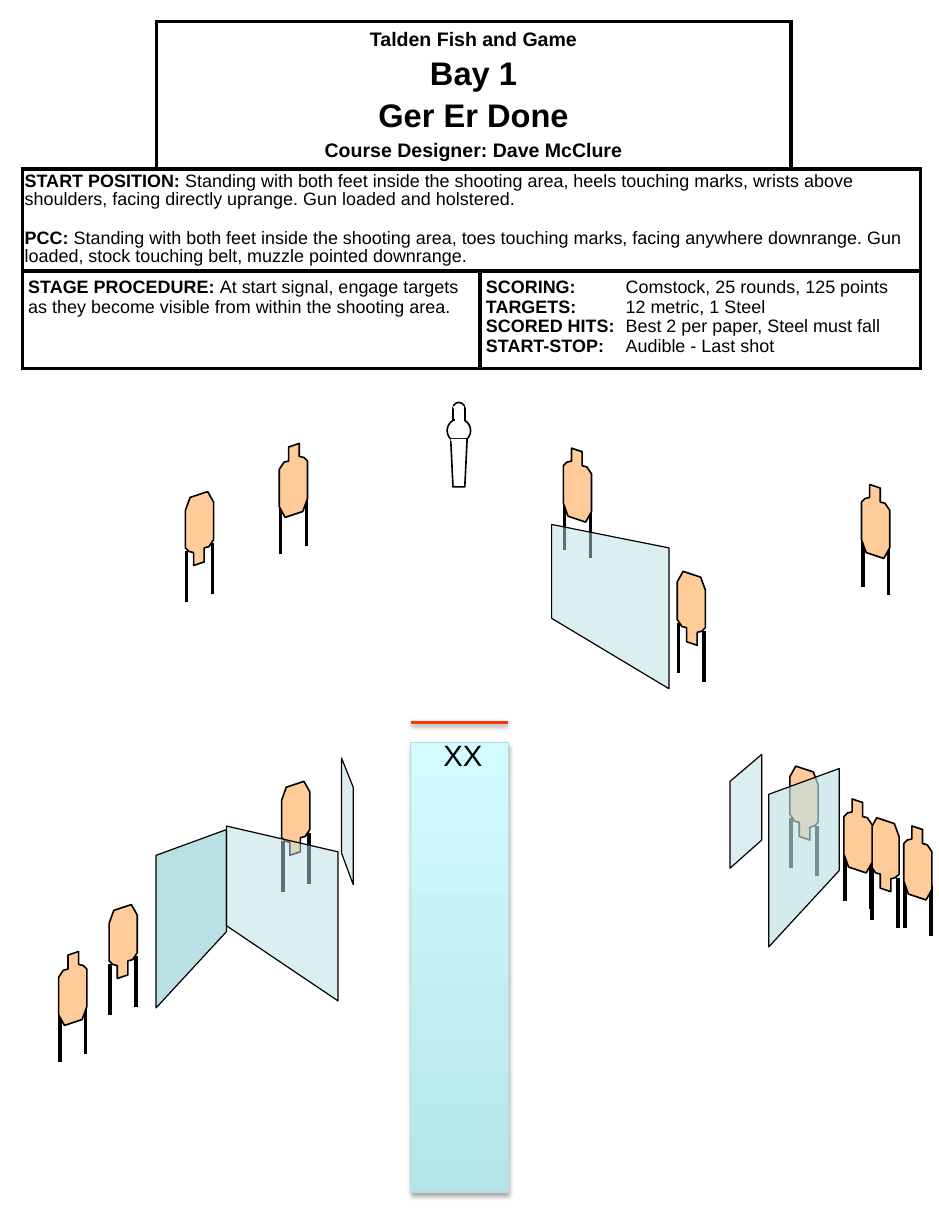
from lxml import etree
from pptx import Presentation
from pptx.dml.color import RGBColor
from pptx.enum.shapes import MSO_CONNECTOR, MSO_SHAPE
from pptx.enum.text import MSO_ANCHOR, PP_ALIGN
from pptx.oxml.ns import qn
from pptx.util import Inches, Pt

RECT, OVAL = MSO_SHAPE.RECTANGLE, MSO_SHAPE.OVAL
STRAIGHT = MSO_CONNECTOR.STRAIGHT
LEFT, CENTER = PP_ALIGN.LEFT, PP_ALIGN.CENTER
TOP, MIDDLE = MSO_ANCHOR.TOP, MSO_ANCHOR.MIDDLE
FONT = "Arial"
COLORS = {
    "ink": "000000", "paper": "FFFFFF", "target": "FFCC99", "glass": "BBE0E3",
    "lane_dark": "B5E5E9", "lane_light": "D3FBFF", "lane_edge": "B6DCDF", "mark": "FF3300",
}
TARGET_W, TARGET_H, LEG = 0.24, 0.63, 0.43
TARGET_OUTLINE = [
    (0.08, 0.03), (0.17, 0), (0.17, 0.11), (0.21, 0.12), (0.24, 0.15), (0.24, 0.47),
    (0.2, 0.58), (0.05, 0.63), (0, 0.54), (0, 0.22), (0.04, 0.16), (0.08, 0.15),
]


def rgb(name):
    return RGBColor.from_string(COLORS[name])


def add_text(tf, runs, first=False, size=11, align=LEFT, before=0, spacing=None, tab=None):
    p = tf.paragraphs[0] if first else tf.add_paragraph()
    if tab:
        tabs = etree.SubElement(p._p.get_or_add_pPr(), qn("a:tabLst"))
        etree.SubElement(tabs, qn("a:tab"), pos=str(Inches(tab)), algn="l")
    p.alignment = align
    p.space_before = Pt(before)
    if spacing:
        p.line_spacing = spacing
    for text, bold in runs:
        r = p.add_run()
        r.text = text
        r.font.name, r.font.size, r.font.bold = FONT, Pt(size), bold
        r.font.color.rgb = rgb("ink")


def paint(sp, fill, line="ink", width=1, alpha=100):
    sp.shadow.inherit = False
    sp.fill.solid()
    sp.fill.fore_color.rgb = rgb(fill)
    if alpha < 100:
        color = sp._element.spPr.find(qn("a:solidFill"))[0]
        etree.SubElement(color, qn("a:alpha"), val=str(alpha * 1000))
    if line:
        sp.line.color.rgb = rgb(line)
        sp.line.width = Pt(width)
    else:
        sp.line.fill.background()


def add_effects(sp, alpha=None, dist=0):
    spPr = sp._element.spPr
    effects = spPr.find(qn("a:effectLst"))
    if effects is None:
        effects = etree.SubElement(spPr, qn("a:effectLst"))
    if alpha:
        shadow = etree.SubElement(effects, qn("a:outerShdw"), blurRad=str(Pt(3.1)),
                                  dist=str(Pt(dist)), dir="5400000", rotWithShape="0")
        color = etree.SubElement(shadow, qn("a:srgbClr"), val=COLORS["ink"])
        etree.SubElement(color, qn("a:alpha"), val=str(alpha * 1000))


def add_line(shapes, x1, y1, x2, y2, color="ink", width=2.25, **shadow):
    line = shapes.add_connector(STRAIGHT, Inches(x1), Inches(y1), Inches(x2), Inches(y2))
    line.line.color.rgb = rgb(color)
    line.line.width = Pt(width)
    add_effects(line, **shadow)


def add_outline(shapes, left, top, points, fill, **style):
    pts = [(Inches(left + x), Inches(top + y)) for x, y in points]
    builder = shapes.build_freeform(*pts[0], scale=1.0)
    builder.add_line_segments(pts[1:], close=True)
    paint(builder.convert_to_shape(), fill, **style)


def format_cell(cell, sides, inset):
    tcPr = cell._tc.get_or_add_tcPr()
    for side in "LRTB":
        ln = etree.SubElement(tcPr, qn("a:ln" + side), w=str(Pt(2.25)))
        if side in sides:
            fill = etree.SubElement(ln, qn("a:solidFill"))
            etree.SubElement(fill, qn("a:srgbClr"), val=COLORS["ink"])
        else:
            etree.SubElement(ln, qn("a:noFill"))
    cell.fill.solid()
    cell.fill.fore_color.rgb = rgb("paper")
    cell.margin_left = cell.margin_right = Inches(inset[0])
    cell.margin_top = cell.margin_bottom = Inches(inset[1])
    cell.vertical_anchor = TOP


def add_briefing(shapes, left, top, width, height):
    tbl = shapes.add_table(3, 4, Inches(left), Inches(top), Inches(width), Inches(height)).table
    tbl.first_row = tbl.horz_banding = False
    for col, w in zip(tbl.columns, (1.14, 2.76, 2.65, 1.1)):
        col.width = Inches(w)
    for row, h in zip(tbl.rows, (1.26, 0.87, 0.83)):
        row.height = Inches(h)
    for r, row in enumerate(tbl.rows):
        for c, cell in enumerate(row.cells):
            sides = {(0, 0): "RB", (0, 3): "LB"}.get((r, c), "LRTB")
            format_cell(cell, sides, (0.02, 0.04) if r == 1 else (0.05, 0.05))
    for start, end in (((0, 1), (0, 2)), ((1, 0), (1, 3)), ((2, 0), (2, 1)), ((2, 2), (2, 3))):
        tbl.cell(*start).merge(tbl.cell(*end))

    title = tbl.cell(0, 1)
    title.vertical_anchor = MIDDLE
    headings = [("Talden Fish and Game", 12), ("Bay 1", 20), ("Ger Er Done", 20),
                ("Course Designer: Dave McClure", 12)]
    for i, (text, size) in enumerate(headings):
        add_text(title.text_frame, [(text, True)], first=i == 0, size=size, align=CENTER,
                 before=3.4 if i else 0)

    start = tbl.cell(1, 0).text_frame
    add_text(start, [("START POSITION:", True),
                     (" Standing with both feet inside the shooting area, heels touching marks, "
                      "wrists above shoulders, facing directly uprange. Gun loaded and holstered.",
                      False)], first=True, spacing=0.9)
    add_text(start, [("PCC: ", True),
                     ("Standing with both feet inside the shooting area, toes touching marks, "
                      "facing anywhere downrange. Gun loaded, stock touching belt, muzzle pointed "
                      "downrange.", False)], before=12.5, spacing=0.9)
    add_text(tbl.cell(2, 0).text_frame,
             [("STAGE PROCEDURE: ", True),
              ("At start signal, engage targets as they become visible from within the "
               "shooting area.", False)], first=True)
    rules = [("SCORING:", "Comstock, 25 rounds, 125 points"), ("TARGETS:", "12 metric, 1 Steel"),
             ("SCORED HITS:", "Best 2 per paper, Steel must fall"),
             ("START-STOP:", "Audible - Last shot")]
    for i, (label, value) in enumerate(rules):
        add_text(tbl.cell(2, 2).text_frame, [(label, True), ("\t" + value, False)],
                 first=i == 0, tab=1.19)


def add_lane(shapes, left, top, width, height):
    sp = shapes.add_shape(RECT, Inches(left), Inches(top + 0.17), Inches(width),
                          Inches(height - 0.17))
    paint(sp, "lane_light", line="lane_edge", width=0.75)
    sp.fill.gradient()
    sp.fill.gradient_angle = 90
    for stop, color in zip(sp.fill.gradient_stops, ("lane_dark", "lane_light")):
        stop.color.rgb = rgb(color)
    add_effects(sp, alpha=35, dist=1.8)
    tf = shapes.add_textbox(Inches(left + 0.18), Inches(top + 0.07), Inches(0.6),
                            Inches(0.4)).text_frame
    tf.word_wrap = True
    add_text(tf, [("XX", False)], first=True, size=18)
    add_line(shapes, left, top, left + width, top, color="mark", width=2, alpha=38, dist=1.6)


def add_target(shapes, left, top, mirrored=False, inverted=False):
    group = shapes.add_group_shape().shapes
    legs = (0.51, 0.44) if mirrored == inverted else (0.44, 0.51)
    for x, y in zip((0.01, 0.23), legs):
        add_line(group, left + x, top + y, left + x, top + y + LEG)
    points = [(TARGET_W - x if mirrored else x, TARGET_H - y if inverted else y)
              for x, y in TARGET_OUTLINE]
    add_outline(group, left, top, points, "target")


def add_wall(shapes, left, top, width, left_edge, right_edge, alpha=50):
    points = [(0, left_edge[0]), (width, right_edge[0]), (width, right_edge[1]), (0, left_edge[1])]
    add_outline(shapes, left, top, points, "glass", width=0.75, alpha=alpha)


def add_steel(shapes, left, top):
    group = shapes.add_group_shape().shapes

    def part(kind, x, y, w, h, line):
        sp = group.add_shape(kind, Inches(left + x), Inches(top + y), Inches(w), Inches(h))
        paint(sp, "paper", line=line)

    part(OVAL, 0.05, 0, 0.1, 0.1, "ink")
    part(OVAL, 0, 0.14, 0.2, 0.2, "ink")
    add_outline(group, left, top, [(0.03, 0.31), (0.17, 0.31), (0.15, 0.72), (0.05, 0.72)], "paper")
    part(RECT, 0.05, 0.05, 0.1, 0.1, "ink")
    part(RECT, 0.03, 0.31, 0.13, 0.02, None)
    part(RECT, 0.07, 0.14, 0.07, 0.02, "paper")
    part(RECT, 0.06, 0.04, 0.08, 0.01, "paper")


def main():
    prs = Presentation()
    prs.slide_width, prs.slide_height = Inches(8), Inches(10.5)
    s = prs.slides.add_slide(prs.slide_layouts[6]).shapes
    add_briefing(s, 0.19, 0.18, 7.65, 2.96)
    add_lane(s, 3.5, 6.16, 0.83, 4)
    add_wall(s, 1.33, 7.07, 0.6, (0.22, 1.52), (0, 0.87), alpha=100)
    add_target(s, 2.38, 3.78)
    add_target(s, 1.58, 4.19, mirrored=True, inverted=True)
    add_target(s, 2.4, 6.66, mirrored=True, inverted=True)
    add_wall(s, 2.91, 6.46, 0.1, (0, 0.81), (0.25, 1.08))
    add_target(s, 6.73, 6.53, inverted=True)
    add_target(s, 7.42, 6.97, inverted=True)
    add_target(s, 5.77, 4.87, inverted=True)
    add_wall(s, 6.55, 6.55, 0.6, (0.22, 1.52), (0, 0.87), alpha=64)
    add_target(s, 7.19, 6.81, mirrored=True)
    add_target(s, 7.7, 7.04, mirrored=True)
    add_steel(s, 3.81, 3.43)
    add_target(s, 4.8, 3.82, mirrored=True)
    add_target(s, 0.5, 8.11)
    add_target(s, 0.93, 7.71, mirrored=True, inverted=True)
    add_wall(s, 6.22, 6.43, 0.27, (0.23, 0.97), (0, 0.73))
    add_target(s, 7.34, 4.13, mirrored=True)
    add_wall(s, 4.7, 4.47, 1, (0, 0.8), (0.2, 1.4))
    add_wall(s, 1.93, 7.04, 0.95, (0, 0.85), (0.22, 1.49))
    prs.save("out.pptx")


if __name__ == "__main__":
    main()
